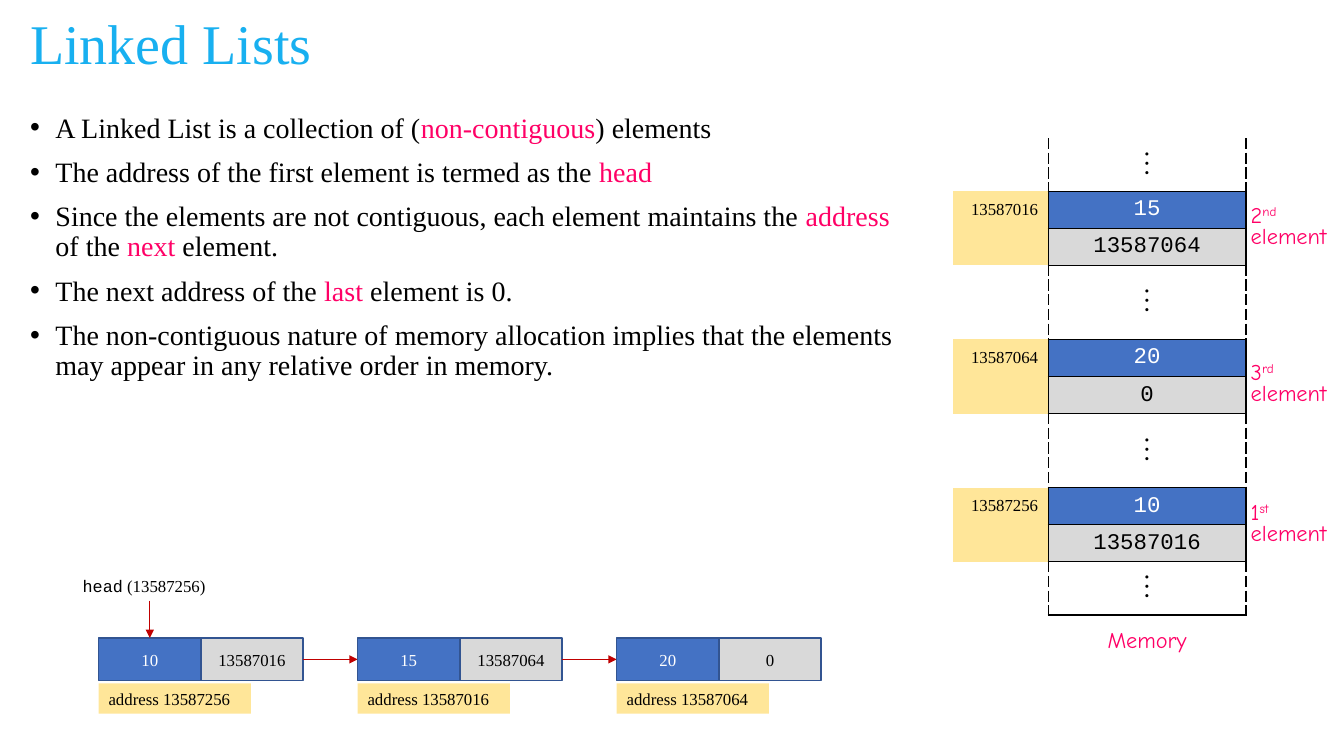
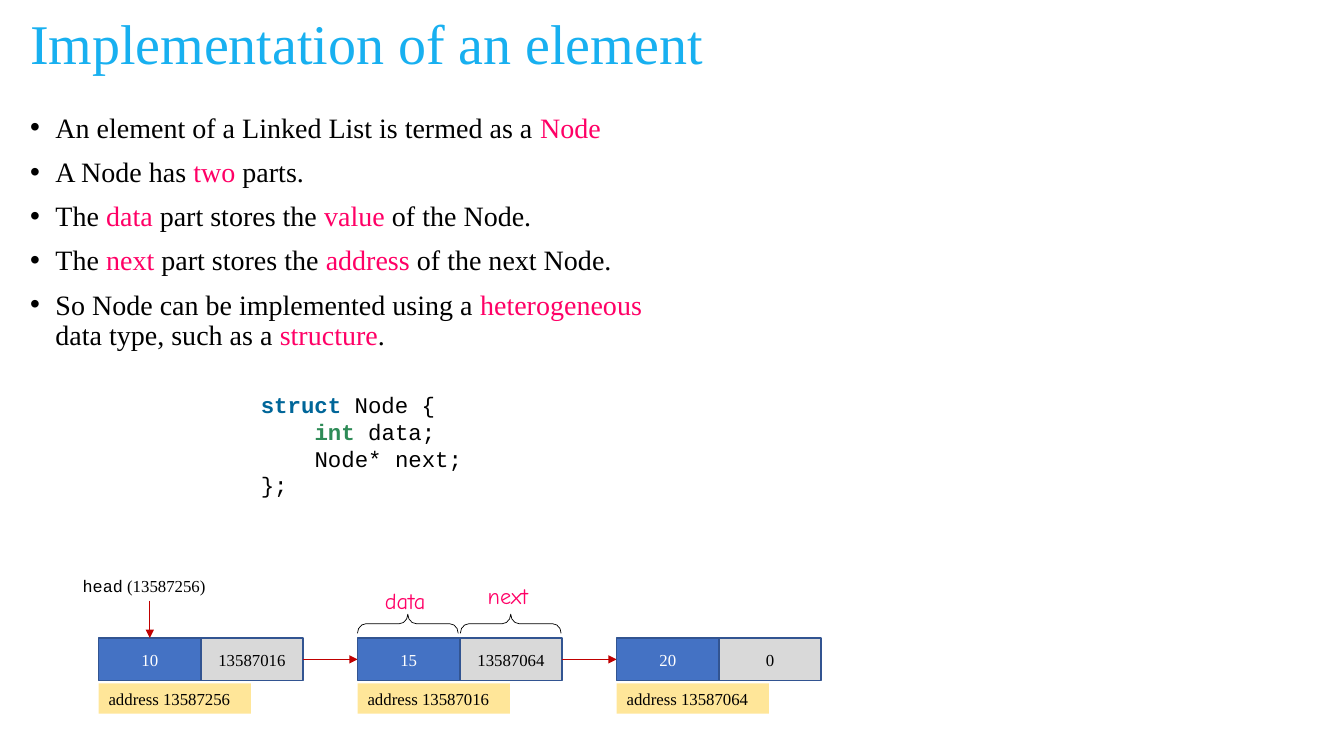
from dataclasses import dataclass

from lxml import etree
from pptx import Presentation
from pptx import util as u
from pptx.dml import color as dml
from pptx.enum import shapes, text
from pptx.oxml import ns

COLORS = {
    "title": "18B0F0",
    "accent": "FF0066",
    "black": "000000",
    "white": "FFFFFF",
    "data": "4472C4",
    "next": "D9D9D9",
    "outline": "325491",
    "address": "FFE699",
    "arrow": "C00000",
    "keyword": "006699",
    "type": "2E8B57",
}
SERIF, MONO, HAND = "Times New Roman", "Courier New", "Comic Neue"
LEFT, CENTER, RIGHT = text.PP_ALIGN.LEFT, text.PP_ALIGN.CENTER, text.PP_ALIGN.RIGHT
NO_TABLE_STYLE = "{2D5ABB26-0587-4C30-8999-92F81FD0307C}"

NODE_LEFT, NODE_TOP, NODE_PITCH = 70.5, 455.75, 185
PART_WIDTH, PART_HEIGHT = 73, 30.5
TABLE_LEFT, TABLE_TOP = 681, 98.6
ADDRESS_WIDTH, MEMORY_WIDTH = 67.75, 141.25
ROW_HEIGHT, END_HEIGHT = 26.5, 38


@dataclass(frozen=True)
class Box:
    left: float
    top: float
    width: float
    height: float


@dataclass(frozen=True)
class Style:
    size: float
    color: str = "black"
    font: str = SERIF
    align: text.PP_ALIGN = LEFT


@dataclass(frozen=True)
class Span:
    text: str
    color: str | None = None
    font: str | None = None
    bold: bool = False
    raised: bool = False


@dataclass(frozen=True)
class Node:
    value: str
    address: str
    next: str
    suffix: str
    label_top: float


NODES = [
    Node("10", "13587256", "13587016", "st", 356.4),
    Node("15", "13587016", "13587064", "nd", 144),
    Node("20", "13587064", "0", "rd", 256.3),
]
NOTE = Style(16, "accent", HAND)
DOTS = Style(20, align=CENTER)

LIST_BULLETS = [
    "A Linked List is a collection of (|non-contiguous|) elements",
    "The address of the first element is termed as the |head",
    "Since the elements are not contiguous, each element maintains the |address| of the |next| element.",
    "The next address of the |last| element is 0.",
    "The non-contiguous nature of memory allocation implies that the elements "
    "may appear in any relative order in memory.",
]
NODE_BULLETS = [
    "An element of a Linked List is termed as a |Node",
    "A Node has |two |parts.",
    "The |data| part stores the |value| of the Node.",
    "The |next| part stores the |address| of the next Node.",
    "So Node can be implemented using a |heterogeneous| data type, such as a |structure|.",
]
CODE_LINES = [
    (0, [Span("struct", "keyword", bold=True), Span(" Node {")]),
    (38.4, [Span("int", "type", bold=True), Span(" data;")]),
    (38.4, [Span("Node* next;")]),
    (0, [Span("};")]),
]


def rgb(name: str) -> dml.RGBColor:
    return dml.RGBColor.from_string(COLORS[name])


def place(shape, box: Box) -> None:
    shape.left, shape.top = u.Pt(box.left), u.Pt(box.top)
    shape.width, shape.height = u.Pt(box.width), u.Pt(box.height)


def corners(box: Box) -> tuple:
    return u.Pt(box.left), u.Pt(box.top), u.Pt(box.width), u.Pt(box.height)


def write(paragraph, spans: list[Span], style: Style) -> None:
    paragraph.alignment = style.align
    paragraph.font.size = u.Pt(style.size)
    paragraph.font.name = style.font
    paragraph.font.color.rgb = rgb(style.color)
    for span in spans:
        run = paragraph.add_run()
        run.text = span.text
        if span.color:
            run.font.color.rgb = rgb(span.color)
        if span.font:
            run.font.name = span.font
        if span.bold:
            run.font.bold = True
        if span.raised:
            run.font._element.set("baseline", "30000")


def indent(paragraph, margin: float, first_line: float = 0) -> None:
    properties = paragraph._p.get_or_add_pPr()
    properties.set("marL", str(u.Pt(margin)))
    properties.set("indent", str(u.Pt(first_line)))


def add_slide(presentation, title: str, bullets: list[str], body_width: float):
    slide = presentation.slides.add_slide(presentation.slide_layouts[1])
    heading, body = slide.shapes.title, slide.placeholders[1]
    place(heading, Box(14.4, 9.4, 789, 46.8))
    place(body, Box(14.4, 77.75, body_width, 329.75))
    for frame in (heading.text_frame, body.text_frame):
        frame.auto_size = text.MSO_AUTO_SIZE.NONE
        frame.word_wrap = True
    heading.text_frame.vertical_anchor = text.MSO_ANCHOR.MIDDLE
    write(heading.text_frame.paragraphs[0], [Span(title)], Style(40, "title"))
    heading.text_frame.paragraphs[0].line_spacing = 0.9
    for index, bullet in enumerate(bullets):
        frame = body.text_frame
        paragraph = frame.add_paragraph() if index else frame.paragraphs[0]
        spans = [
            Span(piece, "accent" if position % 2 else None)
            for position, piece in enumerate(bullet.split("|"))
        ]
        write(paragraph, spans, Style(20))
        paragraph.line_spacing = 0.9
        paragraph.space_before = u.Pt(10)
        indent(paragraph, 18, -18)
    return slide


def add_text(slide, box: Box, spans: list[Span], style: Style):
    frame = slide.shapes.add_textbox(*corners(box)).text_frame
    frame.word_wrap = True
    write(frame.paragraphs[0], spans, style)
    return frame


def add_rectangle(slide, box: Box, fill: str, line: str | None, label: str, style: Style) -> None:
    shape = slide.shapes.add_shape(shapes.MSO_SHAPE.RECTANGLE, *corners(box))
    shape.shadow.inherit = False
    shape.fill.solid()
    shape.fill.fore_color.rgb = rgb(fill)
    if line:
        shape.line.color.rgb = rgb(line)
        shape.line.width = u.Pt(1)
    else:
        shape.line.fill.background()
    shape.text_frame.vertical_anchor = text.MSO_ANCHOR.MIDDLE
    write(shape.text_frame.paragraphs[0], [Span(label)], style)


def add_arrow(slide, start: tuple[float, float], end: tuple[float, float]) -> None:
    ends = [u.Pt(value) for value in (*start, *end)]
    arrow = slide.shapes.add_connector(shapes.MSO_CONNECTOR.STRAIGHT, *ends)
    arrow.line.color.rgb = rgb("arrow")
    arrow.line.width = u.Pt(0.5)
    etree.SubElement(arrow.line._get_or_add_ln(), ns.qn("a:tailEnd"), type="triangle")
    etree.SubElement(arrow._element.spPr, ns.qn("a:effectLst"))


def add_chain(slide) -> None:
    middle = NODE_TOP + PART_HEIGHT / 2
    for index, node in enumerate(NODES):
        left = NODE_LEFT + index * NODE_PITCH
        parts = [("data", node.value, "white"), ("next", node.next, "black")]
        for column, (fill, label, color) in enumerate(parts):
            box = Box(left + column * PART_WIDTH, NODE_TOP, PART_WIDTH, PART_HEIGHT)
            add_rectangle(slide, box, fill, "outline", label, Style(12, color, align=CENTER))
        add_rectangle(slide, Box(left, 488.25, 108.75, 21.6), "address", None,
                      f"address {node.address}", Style(12))
        if index < len(NODES) - 1:
            add_arrow(slide, (left + 2 * PART_WIDTH, middle), (left + NODE_PITCH, middle))
    add_text(slide, Box(52, 407.5, 108.75, 21.6),
             [Span("head", font=MONO), Span(f" ({NODES[0].address})")], Style(12))
    head_x = NODE_LEFT + PART_WIDTH / 2
    add_arrow(slide, (head_x, 429), (head_x, NODE_TOP))


def set_borders(cell, sides: dict[str, str]) -> None:
    properties = cell._tc.get_or_add_tcPr()
    for side in "LRTB":
        if side in sides:
            line = etree.SubElement(properties, ns.qn(f"a:ln{side}"), w=str(u.Pt(1)))
            fill = etree.SubElement(line, ns.qn("a:solidFill"))
            etree.SubElement(fill, ns.qn("a:srgbClr"), val=COLORS["black"])
            etree.SubElement(line, ns.qn("a:prstDash"), val=sides[side])


def set_cell(cell, label: str, style: Style, fill: str | None, borders: dict[str, str]) -> None:
    cell.margin_top = cell.margin_bottom = 0
    cell.vertical_anchor = text.MSO_ANCHOR.MIDDLE
    set_borders(cell, borders)
    if fill:
        cell.fill.solid()
        cell.fill.fore_color.rgb = rgb(fill)
    else:
        cell.fill.background()
    write(cell.text_frame.paragraphs[0], [Span(label)] if label else [], style)


def add_memory(slide) -> None:
    heights = [END_HEIGHT] + [ROW_HEIGHT] * 10 + [END_HEIGHT] * 2
    box = Box(TABLE_LEFT, TABLE_TOP, ADDRESS_WIDTH + MEMORY_WIDTH, sum(heights))
    table = slide.shapes.add_table(len(heights), 2, *corners(box)).table
    table.first_row = table.horz_banding = False
    table._tbl.tblPr.find(ns.qn("a:tableStyleId")).text = NO_TABLE_STYLE
    table.columns[0].width, table.columns[1].width = u.Pt(ADDRESS_WIDTH), u.Pt(MEMORY_WIDTH)
    for row, height in zip(table.rows, heights):
        row.height = u.Pt(height)

    small = Style(12, align=RIGHT)
    dashed = {"L": "dash", "R": "dash"}
    solid = dict.fromkeys("LRTB", "solid")
    last = len(heights) - 1
    gaps = {0: {"B": "solid"}, 3: {"T": "solid"}, 4: {"B": "solid"},
            7: {"T": "solid"}, 8: {"B": "solid"}, 11: {"T": "solid"}}
    for row, edges in gaps.items():
        set_cell(table.cell(row, 0), "", small, None, {})
        set_cell(table.cell(row, 1), "" if row in (4, 8) else "⋮", DOTS, None, dashed | edges)
    for row in (3, 7):
        table.cell(row, 1).merge(table.cell(row + 1, 1))
    for index, node in enumerate(sorted(NODES, key=lambda node: node.address)):
        row = 1 + 4 * index
        parts = [(node.address, node.value, "data", "white"), ("", node.next, "next", "black")]
        for offset, (address, label, fill, color) in enumerate(parts):
            set_cell(table.cell(row + offset, 0), address, small, "address", {"R": "solid"})
            set_cell(table.cell(row + offset, 1), label, Style(16, color, MONO, CENTER), fill, solid)
    set_cell(table.cell(last, 0), "", small, None, {})
    set_cell(table.cell(last, 1), "Memory", Style(16, "accent", HAND, CENTER), None, {})

    for number, node in enumerate(NODES, 1):
        spans = [Span(str(number)), Span(node.suffix, raised=True), Span(" element")]
        frame = add_text(slide, Box(886.3, node.label_top, 73.5, 38.9), spans, NOTE)
        frame.paragraphs[0].line_spacing = u.Pt(15)


def add_brace(slide, box: Box) -> None:
    brace = slide.shapes.add_shape(shapes.MSO_SHAPE.RIGHT_BRACE, *corners(box))
    brace.rotation = 270
    brace.adjustments[0] = 0.446
    brace.shadow.inherit = False
    brace.fill.background()
    brace.line.color.rgb = rgb("black")
    brace.line.width = u.Pt(0.5)


def add_code(slide) -> None:
    frame = slide.shapes.add_textbox(*corners(Box(179.25, 275.75, 220.25, 85))).text_frame
    frame.word_wrap = True
    for index, (margin, spans) in enumerate(CODE_LINES):
        paragraph = frame.add_paragraph() if index else frame.paragraphs[0]
        write(paragraph, spans, Style(16, font=MONO))
        indent(paragraph, margin)


def main() -> None:
    presentation = Presentation()
    presentation.slide_width, presentation.slide_height = u.Pt(960), u.Pt(540)

    lists = add_slide(presentation, "Linked Lists", LIST_BULLETS, 650)
    add_memory(lists)
    add_chain(lists)

    element = add_slide(presentation, "Implementation of an element", NODE_BULLETS, 476)
    add_chain(element)
    for column, (label, top) in enumerate([("data", 415.5), ("next", 412.5)]):
        add_brace(element, Box(284.5 + column * 73.5, 409.5, 13.7, 72))
        add_text(element, Box(267.8 + column * 73.5, top, 47.5, 26.6), [Span(label)], NOTE)
    add_code(element)
    presentation.save("out.pptx")


if __name__ == "__main__":
    main()
